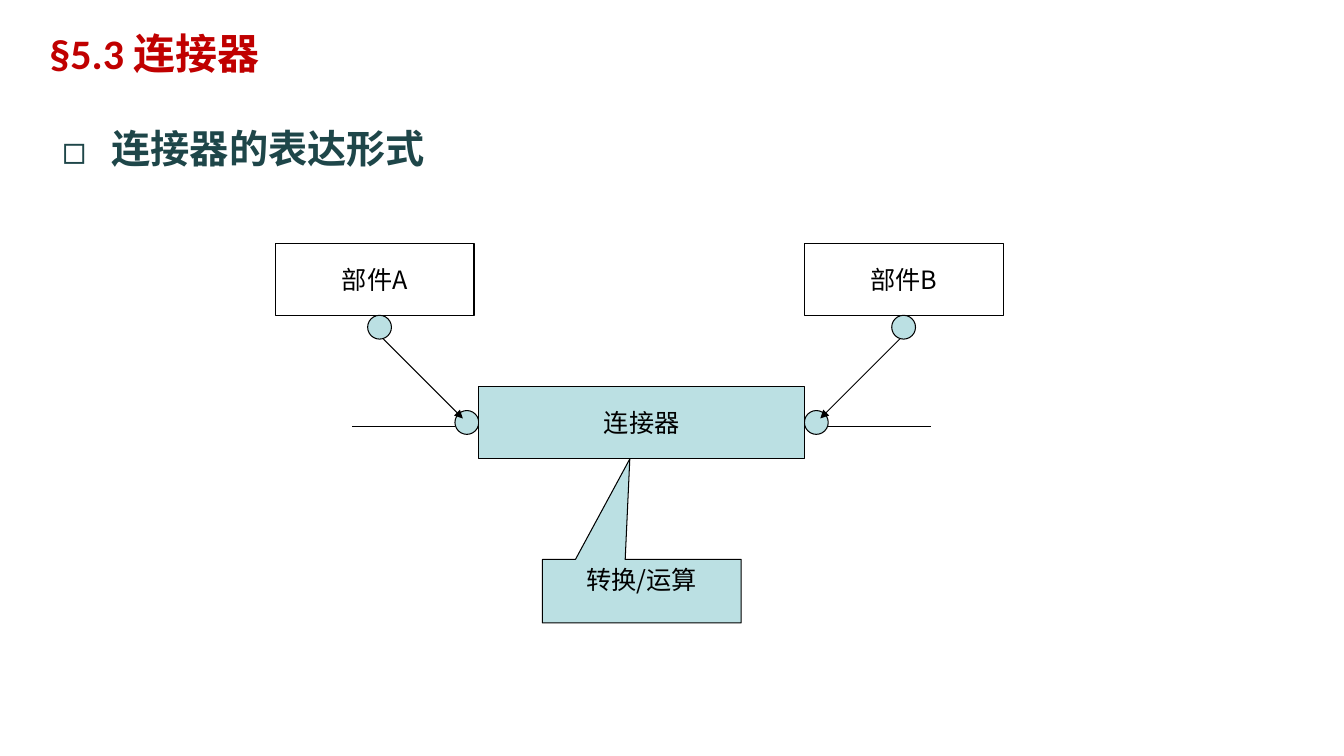
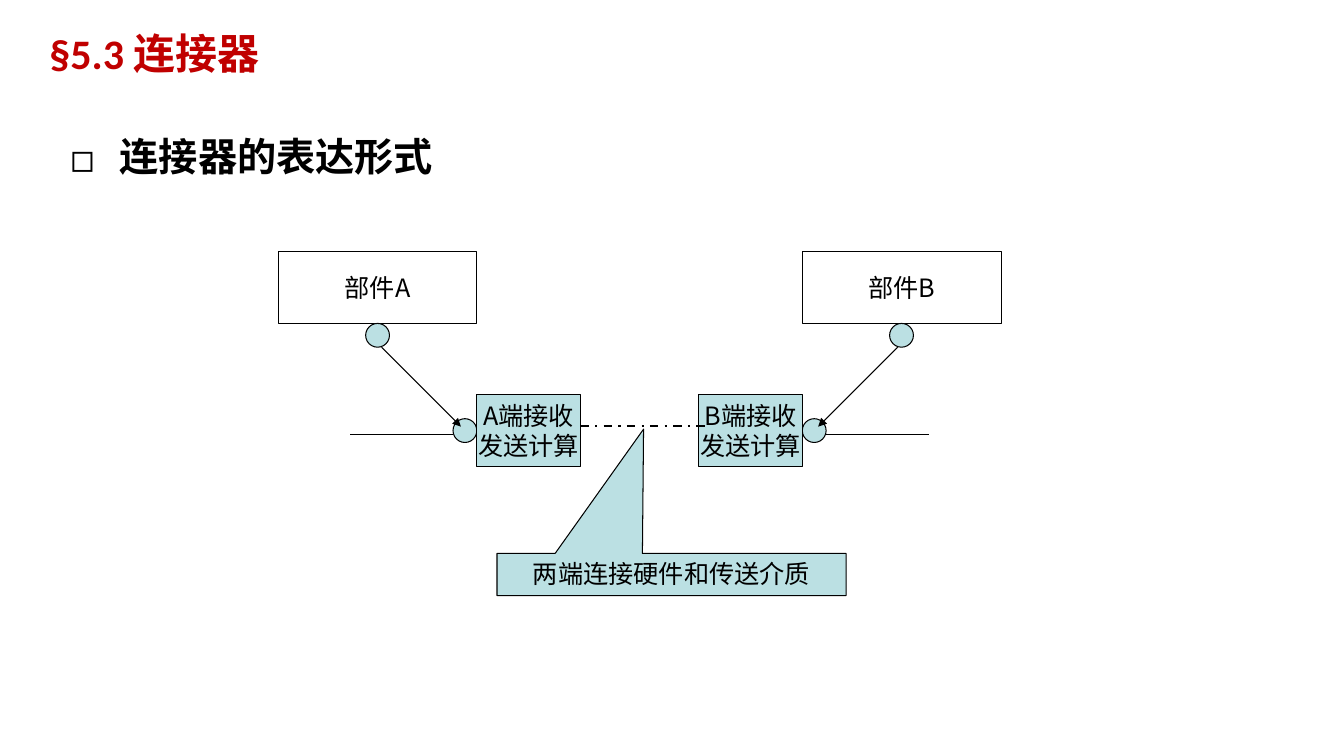
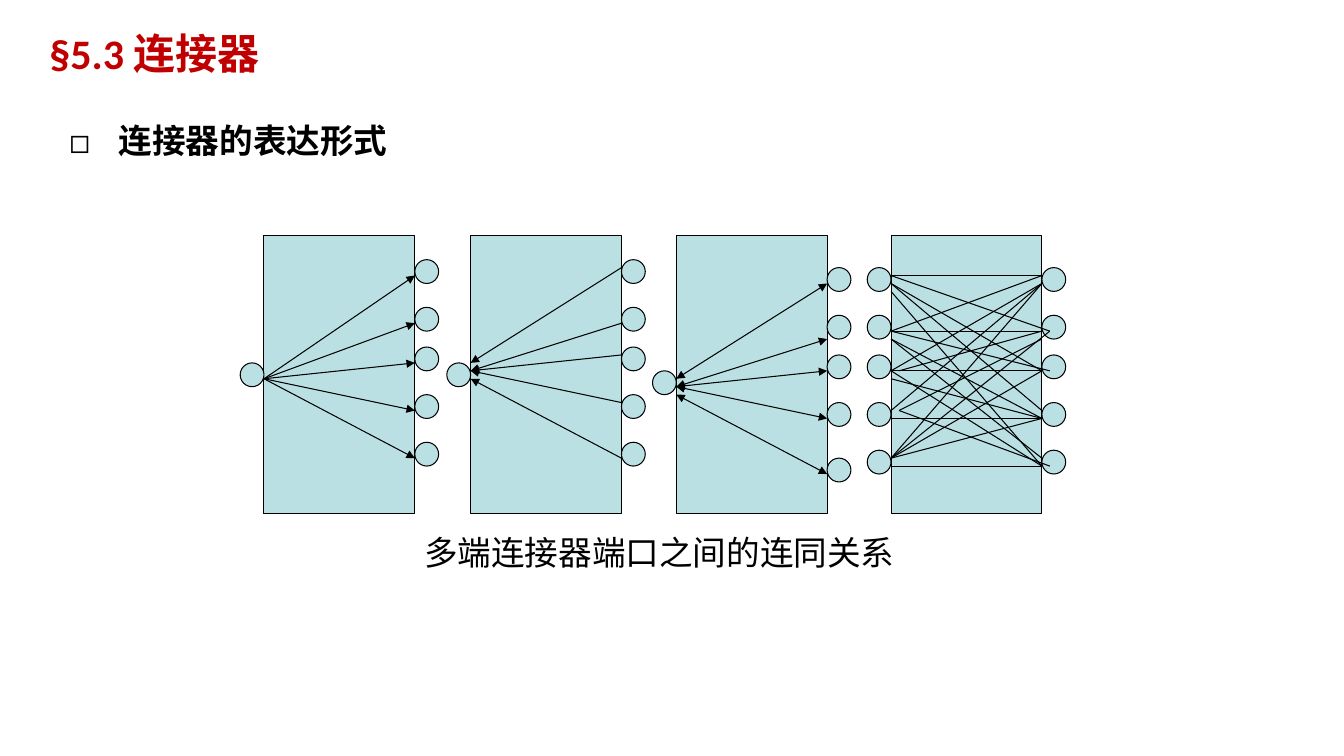
from lxml import etree
from pptx import Presentation
from pptx import util as u
from pptx.dml import color
from pptx.enum import dml, shapes, text
from pptx.oxml import ns

Pt = u.Pt
RECT = shapes.MSO_SHAPE.RECTANGLE
OVAL = shapes.MSO_SHAPE.OVAL
CALLOUT = shapes.MSO_SHAPE.RECTANGULAR_CALLOUT
TOP, MIDDLE = text.MSO_ANCHOR.TOP, text.MSO_ANCHOR.MIDDLE
CENTER, LEFT = text.PP_ALIGN.CENTER, text.PP_ALIGN.LEFT
HAN, LATIN = "Noto Sans CJK SC", "Calibri"
TEAL, BLACK, RED, DARK = "BBE0E3", "000000", "C00000", "1E4649"
paint = color.RGBColor.from_string
UNIT = 5.67
PORT = 3 * UNIT


def box(slide, kind, x, y, w, h, fill=None, paragraphs=(), size=18, ink=BLACK,
        bold=False, anchor=MIDDLE, align=CENTER, wrap=False):
    place = Pt(x), Pt(y), Pt(w), Pt(h)
    if kind is None:
        item = slide.shapes.add_textbox(*place)
    else:
        item = slide.shapes.add_shape(kind, *place)
        item.shadow.inherit = False
        item.line.color.rgb = paint(BLACK)
        item.line.width = Pt(0.75)
        if fill:
            item.fill.solid()
            item.fill.fore_color.rgb = paint(fill)
        else:
            item.fill.background()
    frame = item.text_frame
    frame.word_wrap = wrap
    frame.vertical_anchor = anchor
    for number, runs in enumerate(paragraphs):
        paragraph = frame.add_paragraph() if number else frame.paragraphs[0]
        paragraph.alignment = align
        for words, face in runs:
            run = paragraph.add_run()
            run.text = words
            run.font.size = Pt(size)
            run.font.bold = bold
            run.font.color.rgb = paint(ink)
            run.font.name = face
            etree.SubElement(run.font._element, ns.qn("a:ea"), typeface=face)
    return item


def line(slide, x1, y1, x2, y2, ends=(), width=0.75, dash=None):
    link = slide.shapes.add_connector(
        shapes.MSO_CONNECTOR.STRAIGHT, Pt(x1), Pt(y1), Pt(x2), Pt(y2))
    link.line.color.rgb = paint(BLACK)
    link.line.width = Pt(width)
    if dash:
        link.line.dash_style = dash
    for end in ends:
        etree.SubElement(link.line._get_or_add_ln(), ns.qn("a:" + end), type="triangle")
    etree.SubElement(link._element.spPr, ns.qn("a:effectLst"))


deck = Presentation()
deck.slide_width, deck.slide_height = Pt(960), Pt(540)

pages = []
for x, y, size, ink in [(37.4, 82.1, 28, DARK), (43.2, 87.8, 28, BLACK), (42.5, 79.2, 24, BLACK)]:
    page = deck.slides.add_slide(deck.slide_layouts[6])
    title = box(page, None, 0.7, 20.9, 960, 54, size=30, ink=RED, bold=True, anchor=TOP,
                align=LEFT, wrap=True, paragraphs=[[("§5.3 ", LATIN), ("连接器", HAN)]])
    title.text_frame.margin_left = Pt(5.8)
    title.text_frame.margin_top = Pt(2.9)
    title_line = title.text_frame.paragraphs[0]
    title_line.line_spacing = 0.9
    title_line._p.get_or_add_pPr().set("indent", str(Pt(28.8)))

    heading = box(page, None, x, y, 856, 389, size=size, ink=ink, bold=True, anchor=TOP,
                  align=text.PP_ALIGN.JUSTIFY, wrap=True,
                  paragraphs=[[("连接器的表达形式", HAN)]])
    heading_line = heading.text_frame.paragraphs[0]
    heading_line.line_spacing = 1.1
    heading_props = heading_line._p.get_or_add_pPr()
    heading_props.set("marL", str(Pt(35.3)))
    heading_props.set("indent", str(Pt(-35.3)))
    etree.SubElement(heading_props, ns.qn("a:buFont"), typeface=HAN)
    etree.SubElement(heading_props, ns.qn("a:buChar"), char="◻")
    pages.append(page)

whole, split, multi = pages

for page, part_a, left, right, top in [(whole, 196.6, 342, 574.6, 174.2),
                                       (split, 198.7, 340.6, 573.1, 180)]:
    for name, part_x, edge, side in [("部件A", part_a, left, -1), ("部件B", right, right, 1)]:
        box(page, RECT, part_x, top, 142, 9 * UNIT, paragraphs=[[(name, HAN)]])
        for across, down in [(12.5, 9), (1.5, 21)]:
            box(page, OVAL, edge + side * across * UNIT - PORT / 2, top + down * UNIT,
                PORT, PORT, TEAL)
        wire_y = top + 23 * UNIT
        line(page, edge + side * 3 * UNIT, wire_y, edge + side * 16 * UNIT, wire_y)
        line(page, edge + side * 12 * UNIT, top + 12 * UNIT,
             edge + side * 2 * UNIT, top + 22 * UNIT, ["tailEnd"])

box(whole, RECT, 342, 276.3, 232.6, 9 * UNIT, TEAL, [[("连接器", HAN)]])
for name, x in [("A端接收", 340.6), ("B端接收", 499.2)]:
    box(split, RECT, x, 282.1, 73.9, 9 * UNIT, TEAL, [[(name, HAN)], [("发送计算", HAN)]])
line(split, 414.7, 304.6, 504.7, 304.6, width=1.5, dash=dml.MSO_LINE.DASH_DOT)

for page, words, x, y, w, h, tip in [
        (whole, "转换/运算", 387.4, 399.6, 142, 45.4, (-0.06, -2.08)),
        (split, "两端连接硬件和传送介质", 355, 395.3, 249.3, 30.2, (-0.08, -3.44))]:
    callout = box(page, CALLOUT, x, y, w, h, TEAL, [[(words, HAN)]], anchor=TOP, wrap=True)
    callout.adjustments[0], callout.adjustments[1] = tip

PANEL_TOP, PANEL_W, PANEL_H = 168.5, 19, 35
mesh = [
    (0, 5, 19, 5), (0, 12, 19, 12), (0, 17, 19, 17), (0, 23, 19, 23), (0, 29, 19, 29),
    (0, 5, 20, 12), (0, 6, 19, 17), (0, 6, 19, 22), (0, 7, 19, 29),
    (0, 12, 19, 5), (0, 12, 20, 17), (0, 13, 19, 23), (0, 13, 19, 28),
    (0, 17, 19, 6), (1, 17, 19, 12), (0, 18, 19, 23), (0, 17, 19, 29),
    (0, 22, 19, 6), (1, 22, 19, 13), (1, 22, 20, 29),
    (0, 28, 19, 6), (0, 28, 20, 12), (0, 28, 19, 17), (0, 28, 19, 23)]
fan_out = [(0, 18, 19, y) for y in (28, 22, 16, 11, 5)]
fan_in = [(0, 17, 19, 21), (0, 17, 19, 15), (0, 17, 19, 11), (0, 16, 19, 4), (0, 18, 19, 28)]
two_way = [(0, 19, 19, 23), (0, 19, 19, 17), (0, 19, 19, 13), (0, 18, 19, 6), (0, 20, 19, 30)]
panels = [
    (188.6, [16], [3, 9, 14, 20, 26], fan_out, ["tailEnd"]),
    (336.2, [16], [3, 9, 14, 20, 26], fan_in, ["headEnd"]),
    (483.1, [17], [4, 10, 15, 21, 28], two_way, ["headEnd", "tailEnd"]),
    (636.5, [4, 10, 15, 21, 27], [4, 10, 15, 21, 27], mesh, [])]
for x, left_ports, right_ports, links, ends in panels:
    box(multi, RECT, x, PANEL_TOP, PANEL_W * UNIT, PANEL_H * UNIT, TEAL)
    for port_x, ports in [(x - PORT, left_ports), (x + PANEL_W * UNIT, right_ports)]:
        for down in ports:
            box(multi, OVAL, port_x, PANEL_TOP + down * UNIT, PORT, PORT, TEAL)
    for x1, y1, x2, y2 in links:
        line(multi, x + x1 * UNIT, PANEL_TOP + y1 * UNIT,
             x + x2 * UNIT, PANEL_TOP + y2 * UNIT, ends)

box(multi, None, 247, 377.3, 447.8, 33.8, size=24,
    paragraphs=[[("多端连接器端口之间的连同关系", HAN)]])

deck.save("out.pptx")
